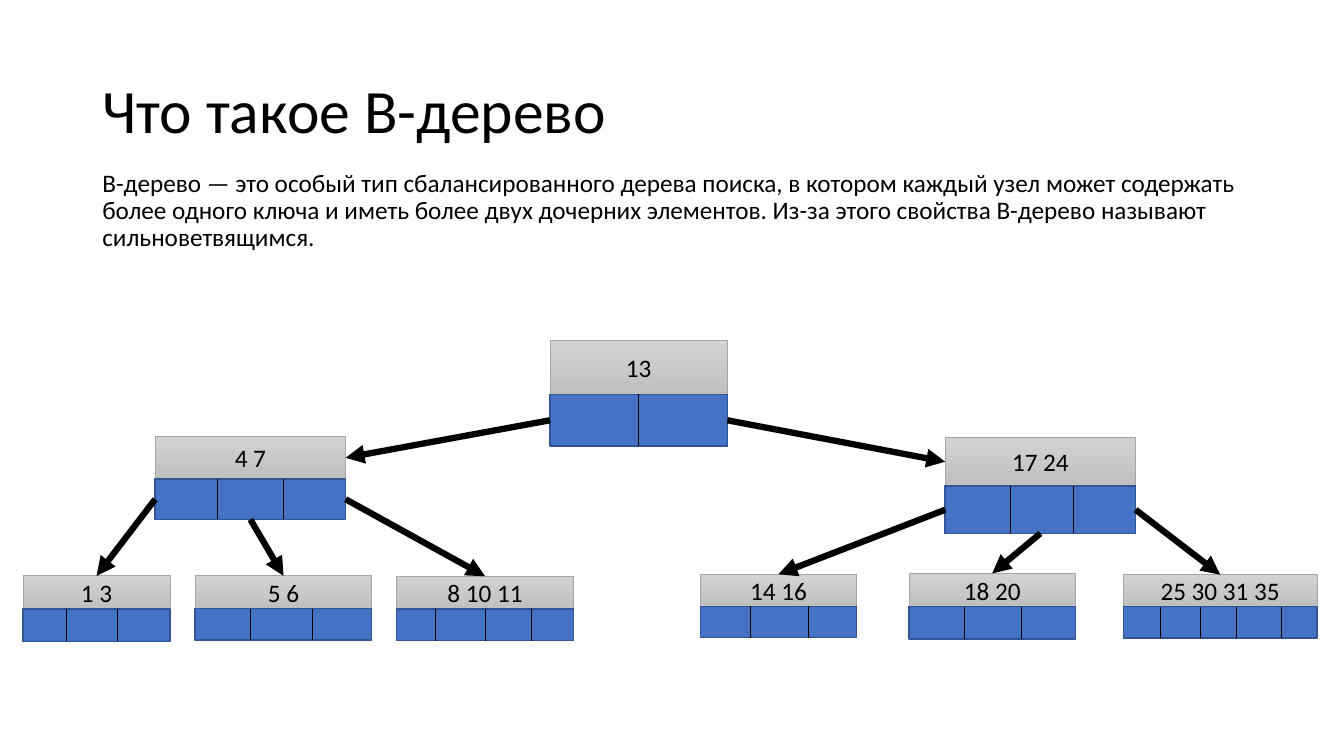
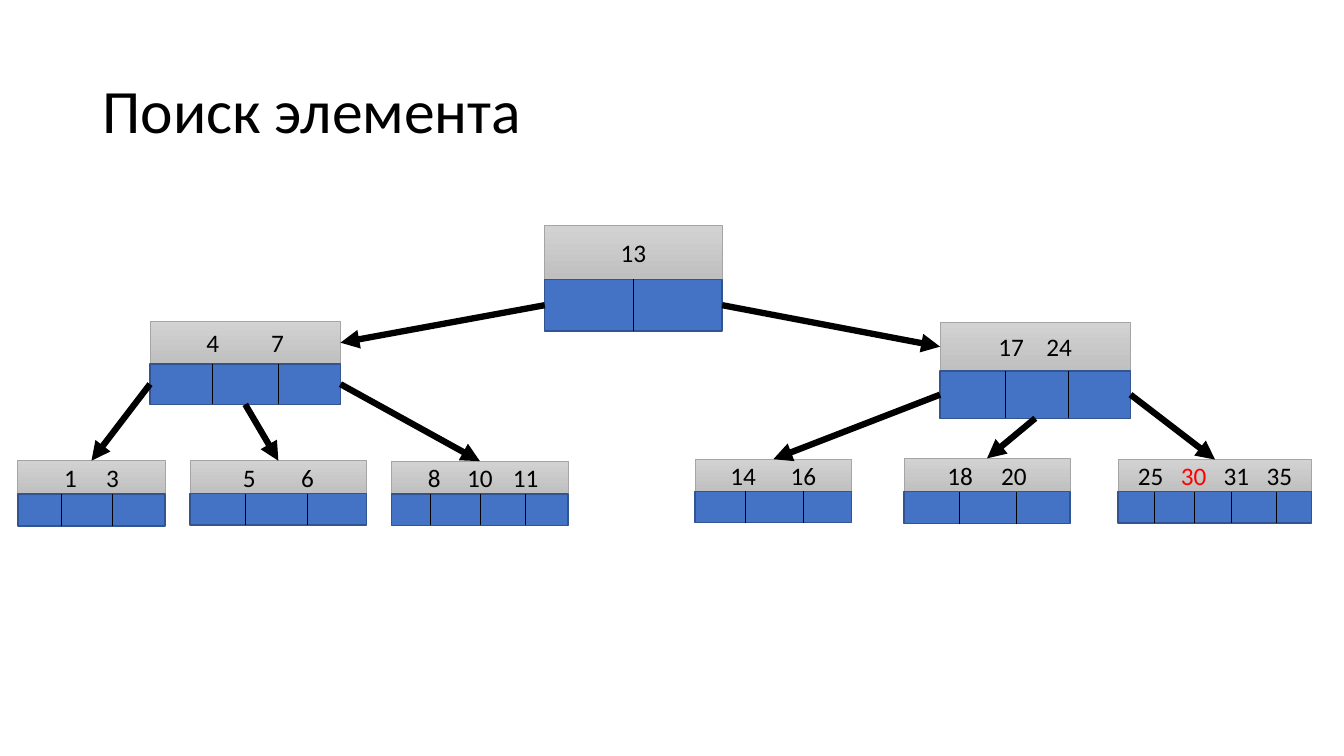
from collections import namedtuple
from lxml.etree import SubElement
from pptx import Presentation
from pptx.dml.color import RGBColor
from pptx.enum.shapes import MSO_CONNECTOR as CXN, MSO_SHAPE as SHP
from pptx.enum.text import MSO_ANCHOR as ANC, PP_ALIGN as AL
from pptx.oxml.ns import qn
from pptx.util import Cm, Pt

FONT, BLACK, RED = "Calibri", "000000", "FF0000"
KEY_TOP, KEY_BOTTOM, KEY_LINE = "D2D2D2", "C0C0C0", "A5A5A5"
POINTER, POINTER_LINE = "4472C4", "325491"
TOP, LEFT, BOTTOM, RIGHT = range(4)

Box = namedtuple("Box", "x y w h")
Node = namedtuple("Node", "keys x y w key_h ptr_h cuts gap")
TITLE_BOX = Box(2.33, 1.01, 29.21, 3.68)
BODY_BOX = Box(2.33, 4.17, 29.21, 3.3)

NODES = {
    "root": Node("13", 13.28, 0, 4.47, 1.35, 1.3, [2.24], 0),
    "left": Node("4 7", 3.33, 2.41, 4.8, 1.07, 1.02, [1.57, 3.23], 1.63),
    "right": Node("17 24", 23.24, 2.43, 4.8, 1.23, 1.19, [1.65, 3.23], 1.21),
    "leaf4": Node("14 16", 17.07, 5.88, 3.94, 0.81, 0.79, [1.27, 2.72], 1.52),
    "leaf5": Node("18 20", 22.33, 5.86, 4.19, 0.84, 0.81, [1.4, 2.84], 1.36),
    "leaf6": Node("25 30 31 35", 27.73, 5.89, 4.88, 0.81, 0.79,
                  [0.92, 1.93, 2.84, 3.99], 1.08),
    "leaf3": Node("8 10 11", 9.42, 5.93, 4.45, 0.83, 0.79, [0.97, 2.24, 3.38], 1.15),
    "leaf1": Node("1 3", 0, 5.92, 3.71, 0.84, 0.81, [1.09, 2.39], 1.06),
    "leaf2": Node("5 6", 4.34, 5.92, 4.45, 0.83, 0.79, [1.4, 2.95], 1.47),
}
EDGES = [
    ("root", LEFT, "left", RIGHT), ("root", RIGHT, "right", LEFT),
    ("left", LEFT, "leaf1", TOP), ("left", BOTTOM, "leaf2", TOP),
    ("left", RIGHT, "leaf3", TOP), ("right", LEFT, "leaf4", TOP),
    ("right", BOTTOM, "leaf5", TOP), ("right", RIGHT, "leaf6", TOP),
]


def rgb(color):
    return RGBColor.from_string(color)


def apply(obj, **values):
    for name, value in values.items():
        setattr(obj, name, value)


def add_run(p, text, size, color=BLACK):
    r = p.add_run()
    r.text = text
    apply(r.font, name=FONT, size=Pt(size))
    r.font.color.rgb = rgb(color)


def add_text(slide, box, text, size, anchor=ANC.TOP, before=0):
    tf = slide.shapes.add_textbox(*map(Cm, box)).text_frame
    apply(tf, word_wrap=True, vertical_anchor=anchor)
    p = tf.paragraphs[0]
    apply(p, line_spacing=0.9, space_before=Pt(before))
    add_run(p, text, size)


def add_rect(shapes, box, line, width):
    sp = shapes.add_shape(SHP.RECTANGLE, *map(Cm, box))
    sp.shadow.inherit = False
    sp.line.color.rgb = rgb(line)
    sp.line.width = Pt(width)
    return sp


def add_line(slide, width, start=(0, 0), end=(0, 0)):
    cx = slide.shapes.add_connector(CXN.STRAIGHT, *map(Cm, (*start, *end)))
    cx.line.color.rgb = rgb(BLACK)
    cx.line.width = Pt(width)
    SubElement(cx._element.spPr, qn("a:effectLst"))
    return cx


def join(cx, sp, side, other, other_side):
    cx.begin_connect(sp, side)
    cx.end_connect(other, other_side)


def add_keys(sp, node, spread, found):
    tf = sp.text_frame
    apply(tf, vertical_anchor=ANC.MIDDLE, margin_left=0, margin_right=0)
    p = tf.paragraphs[0]
    keys = node.keys.split()
    spread = spread and len(keys) > 1
    p.alignment = AL.LEFT if spread else AL.CENTER
    if spread:
        tabs = SubElement(p._p.get_or_add_pPr(), qn("a:tabLst"))
        for i in range(len(keys)):
            pos = node.w / 2 + (i - (len(keys) - 1) / 2) * node.gap
            SubElement(tabs, qn("a:tab"), pos=str(int(Cm(pos))), algn="ctr")
    for i, key in enumerate(keys):
        sep = "\t" if spread else " " if i else ""
        add_run(p, sep + key, 18, RED if key == found else BLACK)


def add_node(slide, node, x, y, spread, found):
    shapes = slide.shapes.add_group_shape().shapes
    top = add_rect(shapes, Box(x, y, node.w, node.key_h), KEY_LINE, 0.5)
    top.fill.gradient()
    top.fill.gradient_angle = 270
    for stop, color in zip(top.fill.gradient_stops, (KEY_TOP, KEY_BOTTOM)):
        stop.color.rgb = rgb(color)
    add_keys(top, node, spread, found)
    ptr = add_rect(shapes, Box(x, y + node.key_h, node.w, node.ptr_h), POINTER_LINE, 1)
    ptr.fill.solid()
    ptr.fill.fore_color.rgb = rgb(POINTER)
    return top, ptr


def add_cuts(slide, node, x, y, ptr):
    y += node.key_h
    for cut in node.cuts:
        cx = add_line(slide, 0.5, (x + cut, y), (x + cut, y + node.ptr_h))
        if abs(cut - node.w / 2) < 0.05:
            join(cx, ptr, TOP, ptr, BOTTOM)


def add_tree(slide, x, y, spread=False, found=None):
    parts = {name: add_node(slide, n, x + n.x, y + n.y, spread, found)
             for name, n in NODES.items()}
    for name, n in NODES.items():
        add_cuts(slide, n, x + n.x, y + n.y, parts[name][1])
    for parent, side, child, child_side in EDGES:
        cx = add_line(slide, 4.5)
        join(cx, parts[parent][1], side, parts[child][0], child_side)
        SubElement(cx.line._get_or_add_ln(), qn("a:tailEnd"), type="triangle")


def add_slide(prs, title):
    s = prs.slides.add_slide(prs.slide_layouts[6])
    add_text(s, TITLE_BOX, title, 44, ANC.MIDDLE)
    return s


def definition_slide(prs):
    s = add_slide(prs, "Что такое B-дерево")
    add_text(s, BODY_BOX,
             "B-дерево — это особый тип сбалансированного дерева поиска, в котором "
             "каждый узел может содержать более одного ключа и иметь более двух "
             "дочерних элементов. Из-за этого свойства B-дерево называют "
             "сильноветвящимся.", 18, before=10)
    add_tree(s, 0.58, 8.59)


def search_slide(prs):
    s = add_slide(prs, "Поиск элемента")
    add_tree(s, 0.45, 5.69, spread=True, found="30")


def main():
    prs = Presentation()
    apply(prs, slide_width=Cm(33.87), slide_height=Cm(19.05))
    definition_slide(prs)
    search_slide(prs)
    prs.save("out.pptx")


if __name__ == "__main__":
    main()
